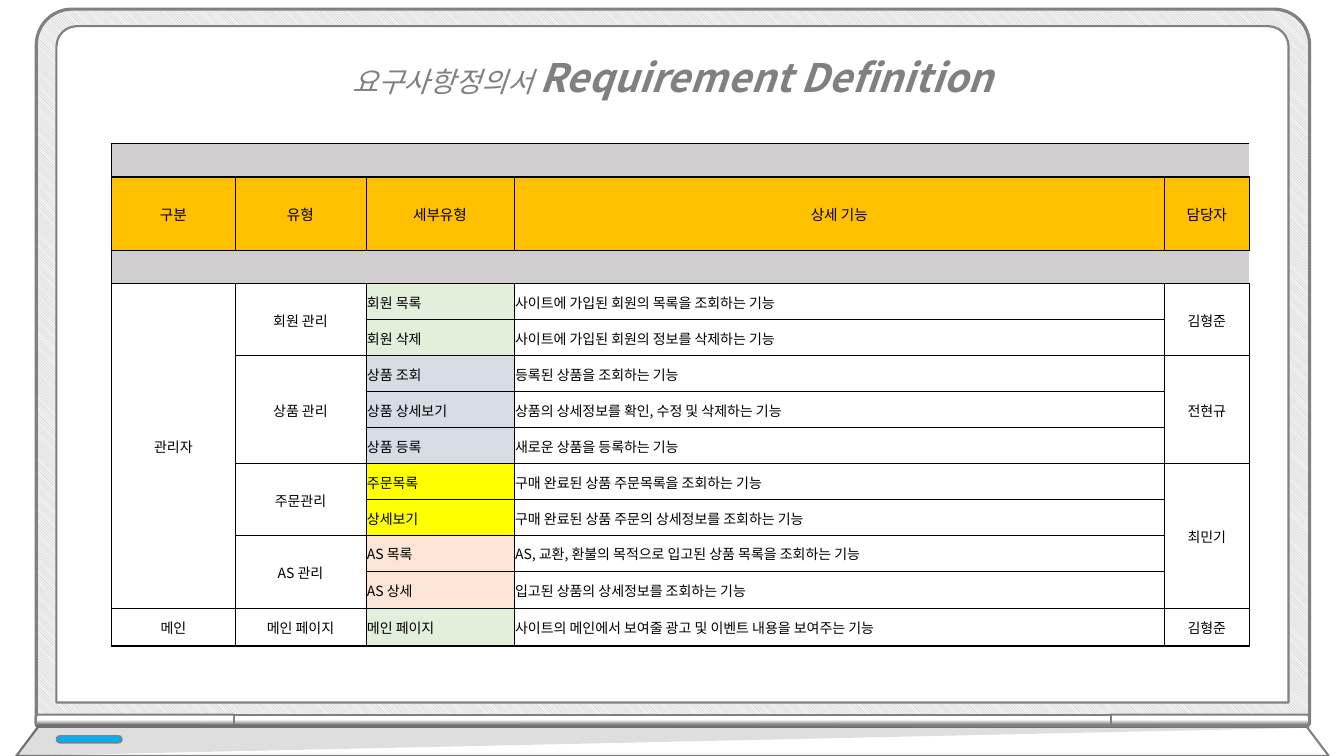
from dataclasses import dataclass
from typing import Optional

from lxml.etree import SubElement
from pptx import Presentation
from pptx.dml.color import RGBColor
from pptx.enum.dml import MSO_PATTERN
from pptx.enum.shapes import MSO_SHAPE
from pptx.enum.text import MSO_ANCHOR, MSO_AUTO_SIZE, PP_ALIGN
from pptx.oxml.ns import qn
from pptx.util import Inches, Pt

FONT = "Noto Sans CJK KR"
GREY, BLACK, WHITE = "808080", "000000", "FFFFFF"
BAND, HEADER = "D0CECE", "FFC000"
GREEN, BLUE, YELLOW, PEACH = "E2EFDA", "D6DCE4", "FFFF00", "FCE4D6"


@dataclass
class Hinge:
    center: float
    length: float
    rotation: int
    rounding: float
    flipped: bool = False


@dataclass
class Feature:
    name: str
    detail: str
    color: str


@dataclass
class Label:
    text: str
    column: int
    row: int
    rows: int = 1


HINGES = [
    Hinge(134, 197, 270, 0.19),
    Hinge(1200, 197, 90, 0.19, flipped=True),
    Hinge(667, 870, 270, 0),
]
HEADINGS = ["구분", "유형", "세부유형", "상세 기능", "담당자"]
FEATURES = [
    Feature("회원 목록", "사이트에 가입된 회원의 목록을 조회하는 기능", GREEN),
    Feature("회원 삭제", "사이트에 가입된 회원의 정보를 삭제하는 기능", GREEN),
    Feature("상품 조회", "등록된 상품을 조회하는 기능", BLUE),
    Feature("상품 상세보기", "상품의 상세정보를 확인, 수정 및 삭제하는 기능", BLUE),
    Feature("상품 등록", "새로운 상품을 등록하는 기능", BLUE),
    Feature("주문목록", "구매 완료된 상품 주문목록을 조회하는 기능", YELLOW),
    Feature("상세보기", "구매 완료된 상품 주문의 상세정보를 조회하는 기능", YELLOW),
    Feature("AS 목록", "AS, 교환, 환불의 목적으로 입고된 상품 목록을 조회하는 기능", PEACH),
    Feature("AS 상세", "입고된 상품의 상세정보를 조회하는 기능", PEACH),
    Feature("메인 페이지", "사이트의 메인에서 보여줄 광고 및 이벤트 내용을 보여주는 기능", GREEN),
]
LABELS = [
    Label("관리자", 0, 3, 9), Label("메인", 0, 12),
    Label("회원 관리", 1, 3, 2), Label("상품 관리", 1, 5, 3), Label("주문관리", 1, 8, 2),
    Label("AS 관리", 1, 10, 2), Label("메인 페이지", 1, 12),
    Label("김형준", 4, 3, 2), Label("전현규", 4, 5, 3), Label("최민기", 4, 8, 4),
    Label("김형준", 4, 12),
]
# The slide is a grid of 1333 columns by 750 rows
COLUMN_SPANS = [122, 130, 147, 645, 84]
ROW_SPANS = [33, 73, 33] + [35.7] * 8 + [37] * 2
SECTION_EDGES = {0, 1, 2, 3, 12, 13}


def grid(cells: float) -> int:
    return Inches(cells / 100)


def rgb(color: str) -> RGBColor:
    return RGBColor.from_string(color)


def write(paragraph, text: str, *, size: float, color: str = BLACK, bold: bool = False,
          italic: bool = False, align: PP_ALIGN = PP_ALIGN.LEFT) -> None:
    paragraph.alignment = align
    run = paragraph.add_run()
    run.text = text
    font = run.font
    font.name, font.size, font.bold, font.italic = FONT, Pt(size), bold, italic
    font.color.rgb = rgb(color)
    SubElement(font._element, qn("a:ea"), typeface=FONT)


def style(shape, fill: Optional[str], line: float = 0) -> None:
    shape.shadow.inherit = False
    if fill:
        shape.fill.solid()
        shape.fill.fore_color.rgb = rgb(fill)
    if line:
        shape.line.color.rgb = rgb(GREY)
        shape.line.width = Pt(line)
    else:
        shape.line.fill.background()


def panel(shapes, kind, left: float, top: float, width: float, height: float,
          rounding: float, fill: Optional[str], line: float):
    shape = shapes.add_shape(kind, grid(left), grid(top), grid(width), grid(height))
    shape.adjustments[0] = rounding
    style(shape, fill, line)
    return shape


def outline(shapes, points: list[tuple[int, int]], fill: str, line: float = 0):
    start, *rest = [(grid(x), grid(y)) for x, y in points]
    builder = shapes.build_freeform(*start)
    builder.add_line_segments(rest, close=True)
    shape = builder.convert_to_shape()
    style(shape, fill, line)
    return shape


def draw_laptop(shapes) -> None:
    # Lid and screen
    lid = panel(shapes, MSO_SHAPE.ROUND_2_SAME_RECTANGLE, 36, 9, 1263, 709, 0.05, None, 2.25)
    lid.fill.patterned()
    lid.fill.pattern = MSO_PATTERN.LIGHT_DOWNWARD_DIAGONAL
    lid.fill.fore_color.rgb, lid.fill.back_color.rgb = rgb("BFBFBF"), rgb("F2F2F2")
    panel(shapes, MSO_SHAPE.ROUND_2_SAME_RECTANGLE, 56, 26, 1222, 671, 0.03, WHITE, 1.5)
    # Hinge strip
    for hinge in HINGES:
        strip = panel(shapes, MSO_SHAPE.ROUND_2_SAME_RECTANGLE, hinge.center - 6,
                      715 - hinge.length / 2, 12, hinge.length, hinge.rounding, None, 1.5)
        strip.rotation = hinge.rotation
        if hinge.flipped:
            strip._element.spPr.find(qn("a:xfrm")).set("flipH", "1")
        strip.fill.gradient()
        strip.fill.gradient_angle = 0
        for stop, (position, color) in zip(strip.fill.gradient_stops,
                                           [(0.17, GREY), (0.59, WHITE)]):
            stop.position, stop.color.rgb = position, rgb(color)
    # Base, its shade and the light
    outline(shapes, [(38, 721), (1296, 721), (1318, 750), (16, 750)], WHITE, 1.5)
    shade = outline(shapes, [(38, 718), (16, 750), (1301, 722)], BLACK)
    shade_color = shade._element.spPr.find(qn("a:solidFill"))[0]
    SubElement(shade_color, qn("a:alpha"), val="13000")
    panel(shapes, MSO_SHAPE.ROUNDED_RECTANGLE, 56, 730, 65, 7, 0.5, "00B0F0", 1)


def draw_title(shapes) -> None:
    title = shapes.add_textbox(grid(329), grid(25), grid(676), grid(81)).text_frame
    title.word_wrap = True
    title.auto_size = MSO_AUTO_SIZE.SHAPE_TO_FIT_TEXT
    line = title.paragraphs[0]
    line.line_spacing = 1.5
    look = dict(color=GREY, italic=True, align=PP_ALIGN.CENTER)
    write(line, "요구사항정의서 ", size=20, **look)
    write(line, "Requirement Definition", size=28, bold=True, **look)


def fill_cell(table, row: int, column: int, text: str = "", *, fill: Optional[str] = None,
              size: float = 10, align: PP_ALIGN = PP_ALIGN.CENTER,
              rows: int = 1, columns: int = 1) -> None:
    cell = table.cell(row, column)
    if rows * columns > 1:
        cell.merge(table.cell(row + rows - 1, column + columns - 1))
    cell.margin_left = cell.margin_right = cell.margin_top = grid(1)
    cell.margin_bottom = 0
    cell.vertical_anchor = MSO_ANCHOR.MIDDLE
    paragraph = cell.text_frame.paragraphs[0]
    if text:
        write(paragraph, text, size=size, align=align)
    else:
        SubElement(paragraph._p, qn("a:endParaRPr"), sz="1000")
    # Section edges are heavier; bands stay open on the right
    widths = {"L": 0.5 if column else 1, "R": 0 if columns > 1 else 0.5,
              "T": 1 if row in SECTION_EDGES else 0.5,
              "B": 1 if row + rows in SECTION_EDGES else 0.5}
    for side, width in widths.items():
        edge = SubElement(cell._tc.get_or_add_tcPr(), qn(f"a:ln{side}"), w=str(Pt(width)))
        if width:
            SubElement(SubElement(edge, qn("a:solidFill")), qn("a:srgbClr"), val=BLACK)
        else:
            SubElement(edge, qn("a:noFill"))
    if fill:
        cell.fill.solid()
        cell.fill.fore_color.rgb = rgb(fill)
    else:
        cell.fill.background()


def draw_requirements(shapes) -> None:
    table = shapes.add_table(len(ROW_SPANS), len(COLUMN_SPANS), grid(111), grid(142.5),
                             grid(sum(COLUMN_SPANS)), grid(sum(ROW_SPANS))).table
    table.first_row = table.horz_banding = False
    for column, span in zip(table.columns, COLUMN_SPANS):
        column.width = grid(span)
    for row, span in zip(table.rows, ROW_SPANS):
        row.height = grid(span)
    for row in (0, 2):
        fill_cell(table, row, 0, fill=BAND, columns=len(COLUMN_SPANS))
    for column, heading in enumerate(HEADINGS):
        fill_cell(table, 1, column, heading, fill=HEADER, size=10.5)
    for row, feature in enumerate(FEATURES, start=3):
        fill_cell(table, row, 2, feature.name, fill=feature.color, align=PP_ALIGN.LEFT)
        fill_cell(table, row, 3, feature.detail, align=PP_ALIGN.LEFT)
    for label in LABELS:
        fill_cell(table, label.row, label.column, label.text, rows=label.rows)


def main() -> None:
    deck = Presentation()
    deck.slide_width, deck.slide_height = grid(1333), grid(750)
    slide = deck.slides.add_slide(deck.slide_layouts[6])
    draw_laptop(slide.shapes.add_group_shape().shapes)
    draw_title(slide.shapes)
    draw_requirements(slide.shapes)
    deck.save("out.pptx")


if __name__ == "__main__":
    main()
